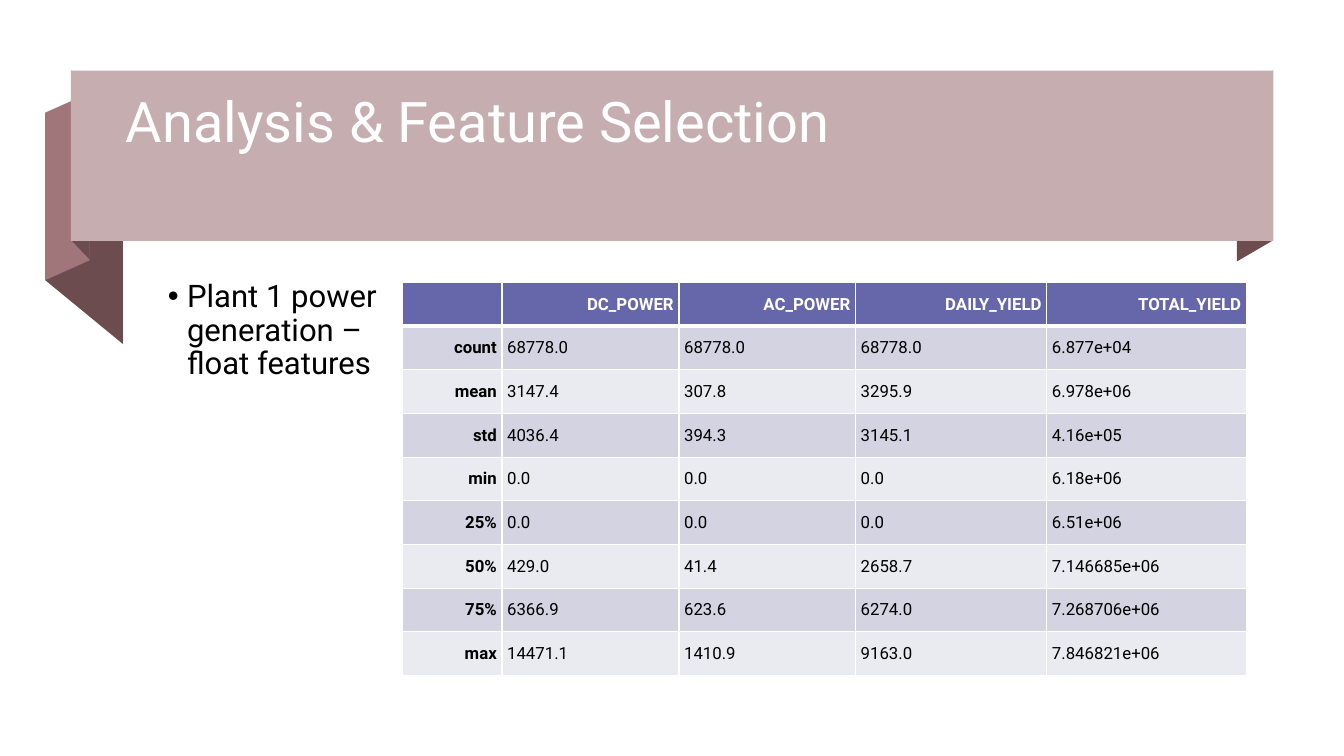
"""Build the slide on analysis and feature selection with its ribbon title and statistics table."""
from lxml.etree import SubElement
from pptx import Presentation
from pptx.dml.color import RGBColor
from pptx.enum.shapes import MSO_SHAPE
from pptx.enum.text import MSO_ANCHOR, MSO_AUTO_SIZE, PP_ALIGN
from pptx.oxml import parse_xml
from pptx.oxml.ns import nsdecls, qn
from pptx.util import Cm, Pt

DARK, MEDIUM, LIGHT = "6D4C50", "A0767B", "C6ADB0"
HEADER, BANDS = "6667AB", ("EAEBF1", "D3D3E2")
WHITE, BLACK = "FFFFFF", "000000"


def paint(color_owner, hex_color):
    color_owner.solid()
    color_owner.fore_color.rgb = RGBColor.from_string(hex_color)


def style_text(paragraph, size, hex_color, bold=False):
    for run in paragraph.runs:
        run.font.name = "Roboto"
        run.font.size = Pt(size)
        run.font.bold = bold
        paint(run.font.fill, hex_color)


prs = Presentation()
prs.slide_width, prs.slide_height = Cm(33.87), Cm(19.05)
slide = prs.slides.add_slide(prs.slide_layouts[5])
shapes = slide.shapes

folds = [
    (31.17, 2.31, 32.08, 1.78, 4.28, DARK),
    (1.14, 2.84, 3.1, 4.45, 4.22, DARK),
    (1.14, 2.84, 2.26, 2.34, 4.22, MEDIUM),
    (1.8, 1.78, 2.26, 2.26, 4.28, DARK),
]
for left, left_top, right, right_top, height, color in folds:
    outline = shapes.build_freeform(Cm(left), Cm(left_top))
    outline.add_line_segments([
        (Cm(right), Cm(right_top)),
        (Cm(right), Cm(right_top + height)),
        (Cm(left), Cm(left_top + height)),
    ])
    fold = outline.convert_to_shape()
    fold.shadow.inherit = False
    paint(fold.fill, color)
    fold.line.fill.background()

banner = shapes.add_shape(MSO_SHAPE.RECTANGLE, Cm(1.79), Cm(1.78), Cm(30.3), Cm(4.29))
banner.shadow.inherit = False
paint(banner.fill, LIGHT)
banner.line.fill.background()

title = shapes.title
banner.element.addnext(title.element)
title.left, title.top, title.width, title.height = Cm(2.92), Cm(2.11), Cm(28.63), Cm(3.68)
title_frame = title.text_frame
title_frame.text = "Analysis & Feature Selection"
title_frame.auto_size = MSO_AUTO_SIZE.NONE
title_frame.vertical_anchor = MSO_ANCHOR.TOP
title_frame.margin_top = Cm(0.25)
heading = title_frame.paragraphs[0]
heading.alignment = PP_ALIGN.LEFT
heading.line_spacing = 0.9
heading.space_after = Pt(6)
style_text(heading, 40, WHITE)

summary = shapes.add_shape(MSO_SHAPE.ROUNDED_RECTANGLE, Cm(3.96), Cm(6.93), Cm(6.07), Cm(3.3))
summary.adjustments[0] = 0.025
summary.shadow.inherit = False
summary.fill.background()
summary.line.fill.background()
summary_frame = summary.text_frame
summary_frame.word_wrap = True
summary_frame.vertical_anchor = MSO_ANCHOR.TOP
summary_frame.text = "Plant 1 power generation – float features"
bullet = summary_frame.paragraphs[0]
bullet.alignment = PP_ALIGN.LEFT
bullet.line_spacing = 0.9
bullet.space_before = Pt(10)
style_text(bullet, 22.2, BLACK)
bullet_format = bullet.runs[0].font and bullet.runs[0]._r.getparent().get_or_add_pPr()
bullet_format.set("marL", str(Cm(0.48)))
bullet_format.set("indent", str(-Cm(0.48)))
SubElement(bullet_format, qn("a:buFont"), typeface="Arial")
SubElement(bullet_format, qn("a:buChar"), char="•")

statistics = [
    ("", "DC_POWER", "AC_POWER", "DAILY_YIELD", "TOTAL_YIELD"),
    ("count", "68778.0", "68778.0", "68778.0", "6.877e+04"),
    ("mean", "3147.4", "307.8", "3295.9", "6.978e+06"),
    ("std", "4036.4", "394.3", "3145.1", "4.16e+05"),
    ("min", "0.0", "0.0", "0.0", "6.18e+06"),
    ("25%", "0.0", "0.0", "0.0", "6.51e+06"),
    ("50%", "429.0", "41.4", "2658.7", "7.146685e+06"),
    ("75%", "6366.9", "623.6", "6274.0", "7.268706e+06"),
    ("max", "14471.1", "1410.9", "9163.0", "7.846821e+06"),
]
column_widths = [2.52, 4.46, 4.45, 4.82, 5.03]
row_height = 1.1
table = shapes.add_table(
    len(statistics), len(column_widths), Cm(10.13), Cm(7.12),
    Cm(sum(column_widths)), Cm(row_height * len(statistics)),
).table
table.horz_banding = False
for column, width in zip(table.columns, column_widths):
    column.width = Cm(width)

for row, values in enumerate(statistics):
    table.rows[row].height = Cm(row_height)
    is_header = row == 0
    for column, value in enumerate(values):
        is_label = is_header or column == 0
        cell = table.cell(row, column)
        cell.text = value
        cell.vertical_anchor = MSO_ANCHOR.MIDDLE
        cell.margin_left = cell.margin_right = Cm(0.13)
        cell.margin_top = cell.margin_bottom = Cm(0.07)
        entry = cell.text_frame.paragraphs[0]
        entry.alignment = PP_ALIGN.RIGHT if is_label else PP_ALIGN.LEFT
        style_text(entry, 12, WHITE if is_header else BLACK, is_label)
        edge_widths = {"L": 1, "R": 1, "T": 3 if row == 1 else 1, "B": 3 if is_header else 1}
        for side, points in edge_widths.items():
            cell._tc.get_or_add_tcPr().append(parse_xml(
                f'<a:ln{side} {nsdecls("a")} w="{Pt(points)}"><a:solidFill>'
                f'<a:srgbClr val="{WHITE}"/></a:solidFill></a:ln{side}>'
            ))
        paint(cell.fill, HEADER if is_header else BANDS[row % 2])

prs.save("out.pptx")
